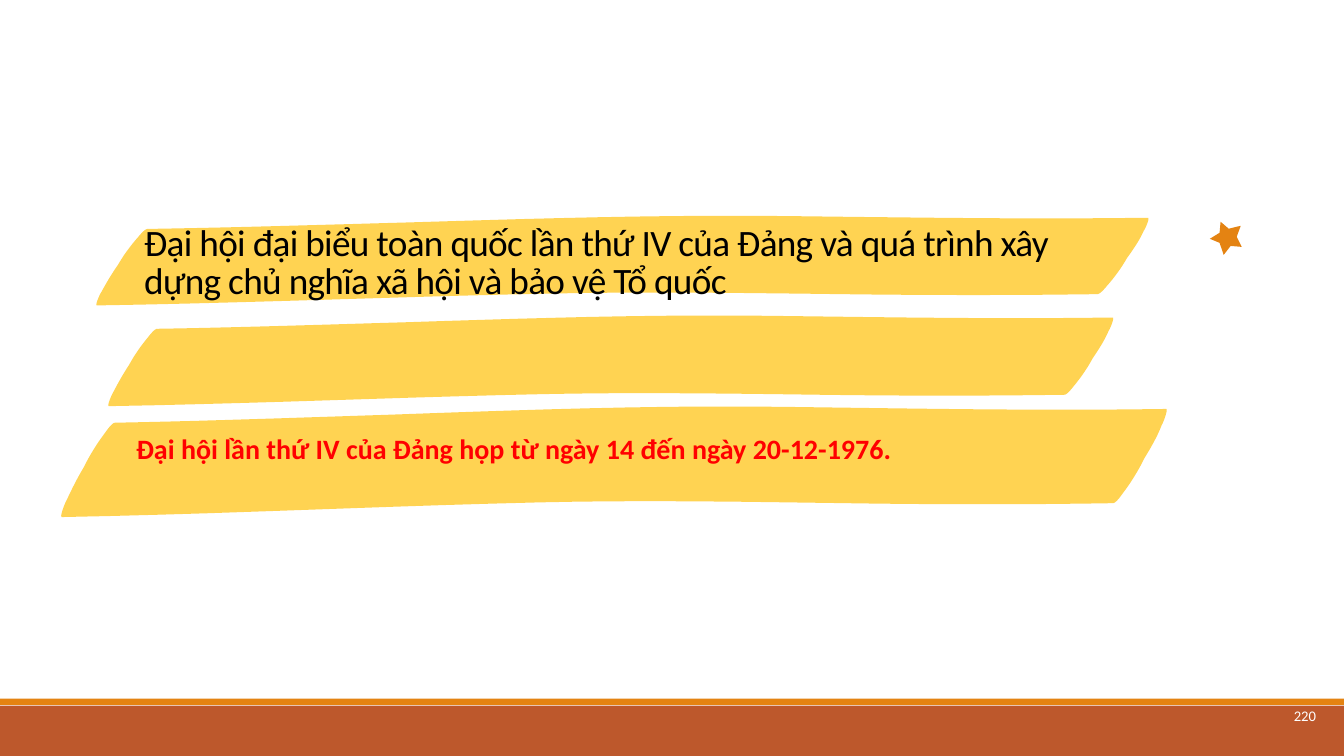
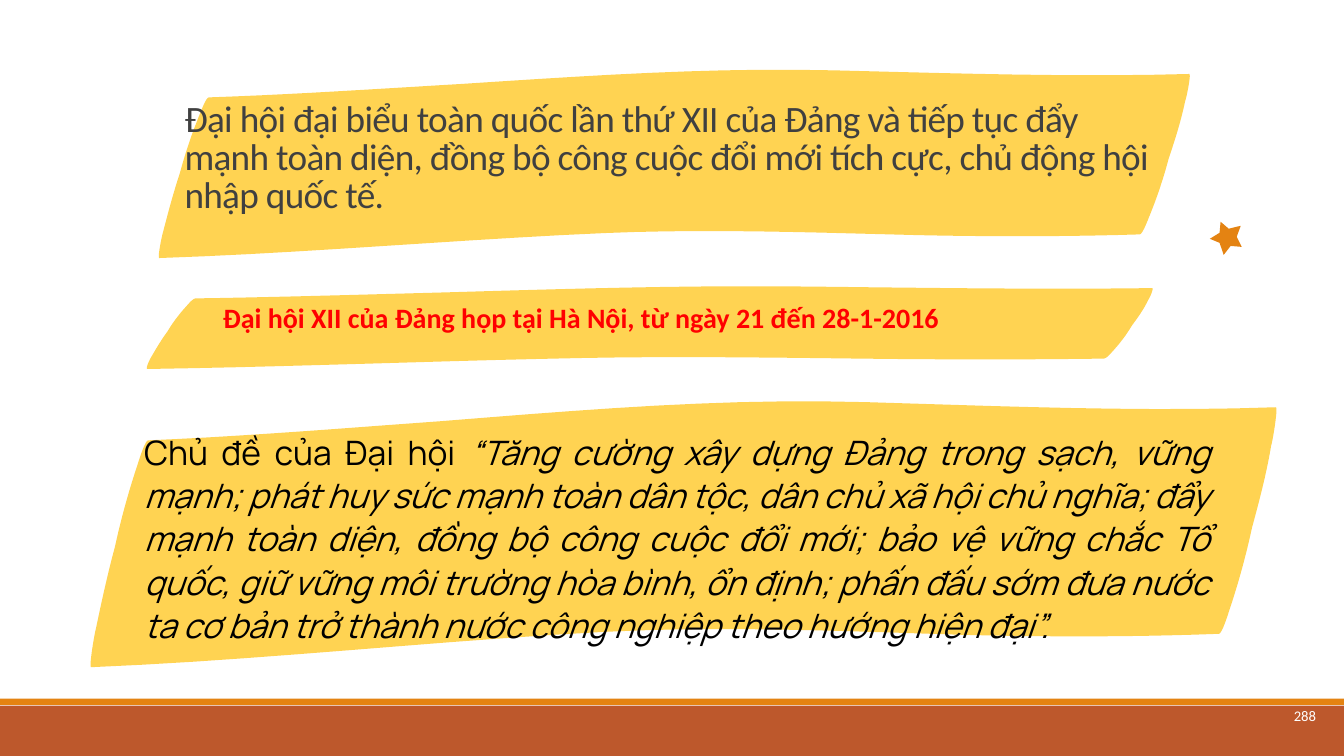
from dataclasses import dataclass
from typing import NamedTuple

import pptx
import pptx.dml.color
import pptx.enum.shapes
import pptx.enum.text
import pptx.util

Pt = pptx.util.Pt
ALIGN = pptx.enum.text.PP_ALIGN
ANCHOR = pptx.enum.text.MSO_ANCHOR


def rgb(code: str) -> pptx.dml.color.RGBColor:
    return pptx.dml.color.RGBColor.from_string(code)


class Box(NamedTuple):
    left: float
    top: float
    width: float
    height: float


@dataclass(frozen=True)
class Theme:
    rust: str = "BD582C"
    orange: str = "E48312"
    yellow: str = "FFD352"
    red: str = "FF0000"
    white: str = "FFFFFF"
    black: str = "000000"
    gray: str = "404040"
    font: str = "Calibri"
    quote_font: str = "Manrope"
    title_size: float = 26.6
    quote_size: float = 24
    date_size: float = 20
    number_size: float = 10.5
    inset: float = 9.4


THEME = Theme()
SLIDE_WIDTH, SLIDE_HEIGHT = 960, 540
BANDS = (
    (Box(0, 504, SLIDE_WIDTH, 36), THEME.rust),
    (Box(0, 499, SLIDE_WIDTH, 4.6), THEME.orange),
)
NUMBER_BOX = Box(903.6, 481.7, 56.9, 58.3)

# Brush stroke in thousandths of its box: a start, then cubic Bézier triples.
BRUSH_START = (2, 1000)
BRUSH_CURVES = (
    ((0, 1000), (5, 873), (6, 858)),
    ((11, 753), (16, 652), (22, 554)),
    ((27, 453), (33, 356), (40, 262)),
    ((41, 251), (47, 157), (50, 157)),
    ((132, 142), (214, 112), (296, 86)),
    ((423, 41), (534, 0), (654, 15)),
    ((769, 30), (884, 52), (999, 34)),
    ((1001, 34), (996, 165), (995, 176)),
    ((991, 281), (985, 382), (979, 479)),
    ((974, 581), (968, 678), (961, 772)),
    ((960, 783), (954, 876), (951, 876)),
    ((880, 888), (808, 888), (737, 880)),
    ((628, 865), (534, 846), (433, 869)),
    ((289, 903), (146, 974), (2, 1000)),
)
CURVE_STEPS = 10
STAR = (
    (886.3, 161.3), (877.7, 163.4), (871.9, 158.4), (871.2, 166.3),
    (864.2, 170.6), (871.2, 173.5), (874.1, 182.1), (879.1, 175.7),
    (887, 176.4), (883.4, 169.2),
)


@dataclass(frozen=True)
class Congress:
    number: str
    title: str
    title_box: Box
    title_color: str
    date: str
    date_box: Box
    brushes: tuple[Box, ...]
    motto: tuple[str, str] | None = None
    motto_box: Box | None = None


CONGRESSES = (
    Congress(
        number="220",
        title="Đại hội đại biểu toàn quốc lần thứ IV của Đảng và quá trình xây dựng "
              "chủ nghĩa xã hội và bảo vệ Tổ quốc",
        title_box=Box(93.6, 103.7, 719.3, 121.7),
        title_color=THEME.black,
        date="Đại hội lần thứ IV của Đảng họp từ ngày 14 đến ngày 20-12-1976.",
        date_box=Box(87.8, 301.7, 740.9, 82.8),
        brushes=(
            Box(67.7, 153.4, 753.1, 64.8),
            Box(76.3, 224.6, 719.3, 65.5),
            Box(42.5, 289.4, 791.3, 79.9),
        ),
    ),
    Congress(
        number="288",
        title="Đại hội đại biểu toàn quốc lần thứ XII của Đảng và tiếp tục đẩy mạnh "
              "toàn diện, đồng bộ công cuộc đổi mới tích cực, chủ động hội nhập quốc tế.",
        title_box=Box(122.4, 41.8, 718.6, 121.7),
        title_color=THEME.gray,
        date="Đại hội XII của Đảng họp tại Hà Nội, từ ngày 21 đến 28-1-2016",
        date_box=Box(149.8, 208.1, 740.9, 68.4),
        brushes=(
            Box(112.3, 48.2, 738, 136.1),
            Box(103.7, 203.8, 720, 59.8),
            Box(63.4, 284.4, 848.9, 192.2),
        ),
        motto=(
            "Chủ đề của Đại hội ",
            "“Tăng cường xây dựng Đảng trong sạch, vững mạnh; phát huy sức mạnh toàn "
            "dân tộc, dân chủ xã hội chủ nghĩa; đẩy mạnh toàn diện, đồng bộ công cuộc "
            "đổi mới; bảo vệ vững chắc Tổ quốc, giữ vững môi trường hòa bình, ổn định; "
            "phấn đấu sớm đưa nước ta cơ bản trở thành nước công nghiệp theo hướng "
            "hiện đại”.",
        ),
        motto_box=Box(95.8, 303.1, 775.4, 162.7),
    ),
)


def apply(target, values: dict) -> None:
    """Set every attribute named in values on target."""
    for name, value in values.items():
        setattr(target, name, value)


def paint(shape, color: str) -> None:
    shape.shadow.inherit = False
    shape.fill.solid()
    shape.fill.fore_color.rgb = rgb(color)
    shape.line.fill.background()


def place(shape, box: Box) -> None:
    apply(shape, {side: Pt(length) for side, length in box._asdict().items()})


def add_outline(slide, points: list[tuple[float, float]], color: str):
    (start_x, start_y), *rest = [(Pt(x), Pt(y)) for x, y in points]
    builder = slide.shapes.build_freeform(start_x, start_y)
    builder.add_line_segments(rest, close=True)
    outline = builder.convert_to_shape()
    paint(outline, color)
    return outline


def brush_points(box: Box) -> list[tuple[float, float]]:
    points = [BRUSH_START]
    for first, second, end in BRUSH_CURVES:
        start = points[-1]
        for step in range(1, CURVE_STEPS + 1):
            t = step / CURVE_STEPS
            u = 1 - t
            points.append(tuple(
                u**3 * a + 3 * u * u * t * b + 3 * u * t * t * c + t**3 * d
                for a, b, c, d in zip(start, first, second, end)
            ))
    return [(box.left + box.width * x / 1000, box.top + box.height * y / 1000)
            for x, y in points]


def send_behind(shape, tree, depth: int) -> None:
    """Move shape into tree, above depth other shapes from the back."""
    tree.insert(2 + depth, shape._element)


def write(shape, runs: tuple[str, ...], frame: dict, paragraph: dict,
          font: dict, color: str) -> list:
    text_frame = shape.text_frame
    apply(text_frame, {"word_wrap": True,
                       "auto_size": pptx.enum.text.MSO_AUTO_SIZE.NONE} | frame)
    line = text_frame.paragraphs[0]
    apply(line, {"space_before": Pt(0)} | paragraph)
    written = []
    for text in runs:
        run = line.add_run()
        run.text = text
        apply(run.font, {"name": THEME.font} | font)
        run.font.color.rgb = rgb(color)
        written.append(run)
    return written


def insets() -> dict:
    return {f"margin_{side}": Pt(THEME.inset)
            for side in ("left", "top", "right", "bottom")}


def add_bands(prs, slide) -> None:
    """Draw the footer bands once and hand them to the slide master."""
    for depth, (box, color) in enumerate(BANDS):
        band = slide.shapes.add_shape(
            pptx.enum.shapes.MSO_SHAPE.RECTANGLE, *map(Pt, box))
        paint(band, color)
        send_behind(band, prs.slide_master.shapes.element, depth)


def add_motto(slide, congress: Congress) -> None:
    motto = slide.shapes.add_textbox(*map(Pt, congress.motto_box))
    _, quotation = write(
        motto, congress.motto, {},
        {"alignment": ALIGN.JUSTIFY, "line_spacing": 1.07, "space_after": Pt(4)},
        {"name": THEME.quote_font, "size": Pt(THEME.quote_size)}, THEME.black)
    quotation.font.italic = True


def add_congress(prs, congress: Congress):
    slide = prs.slides.add_slide(prs.slide_layouts[0])
    for depth, box in enumerate(congress.brushes):
        brush = add_outline(slide, brush_points(box), THEME.yellow)
        send_behind(brush, slide.shapes.element, depth)

    title, date = slide.placeholders
    place(title, congress.title_box)
    heading, = write(
        title, (congress.title,),
        insets() | {"vertical_anchor": ANCHOR.BOTTOM},
        {"alignment": ALIGN.LEFT, "line_spacing": 0.85},
        {"size": Pt(THEME.title_size), "bold": False}, congress.title_color)
    heading.font._element.set("spc", "-50")

    place(date, congress.date_box)
    write(date, (congress.date,),
          insets() | {"vertical_anchor": ANCHOR.TOP},
          {"alignment": ALIGN.LEFT, "line_spacing": 0.9, "space_after": Pt(2)},
          {"size": Pt(THEME.date_size), "bold": True}, THEME.red)

    number = slide.shapes.add_textbox(*map(Pt, NUMBER_BOX))
    write(number, (congress.number,),
          insets() | {"vertical_anchor": ANCHOR.MIDDLE},
          {"alignment": ALIGN.CENTER},
          {"size": Pt(THEME.number_size)}, THEME.white)

    add_outline(slide, list(STAR), THEME.orange)
    if congress.motto:
        add_motto(slide, congress)
    return slide


def main() -> None:
    prs = pptx.Presentation()
    apply(prs, {"slide_width": Pt(SLIDE_WIDTH), "slide_height": Pt(SLIDE_HEIGHT)})
    slides = [add_congress(prs, congress) for congress in CONGRESSES]
    add_bands(prs, slides[0])
    prs.save("out.pptx")


if __name__ == "__main__":
    main()
